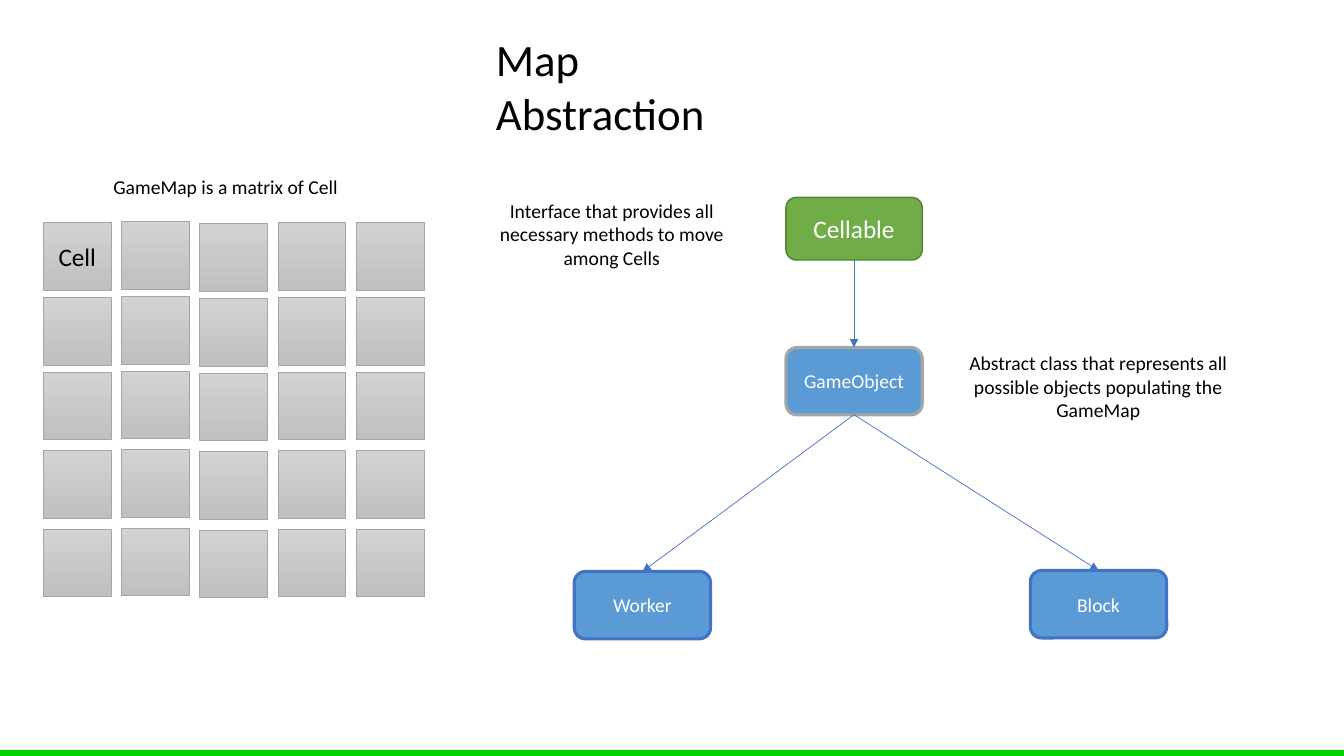
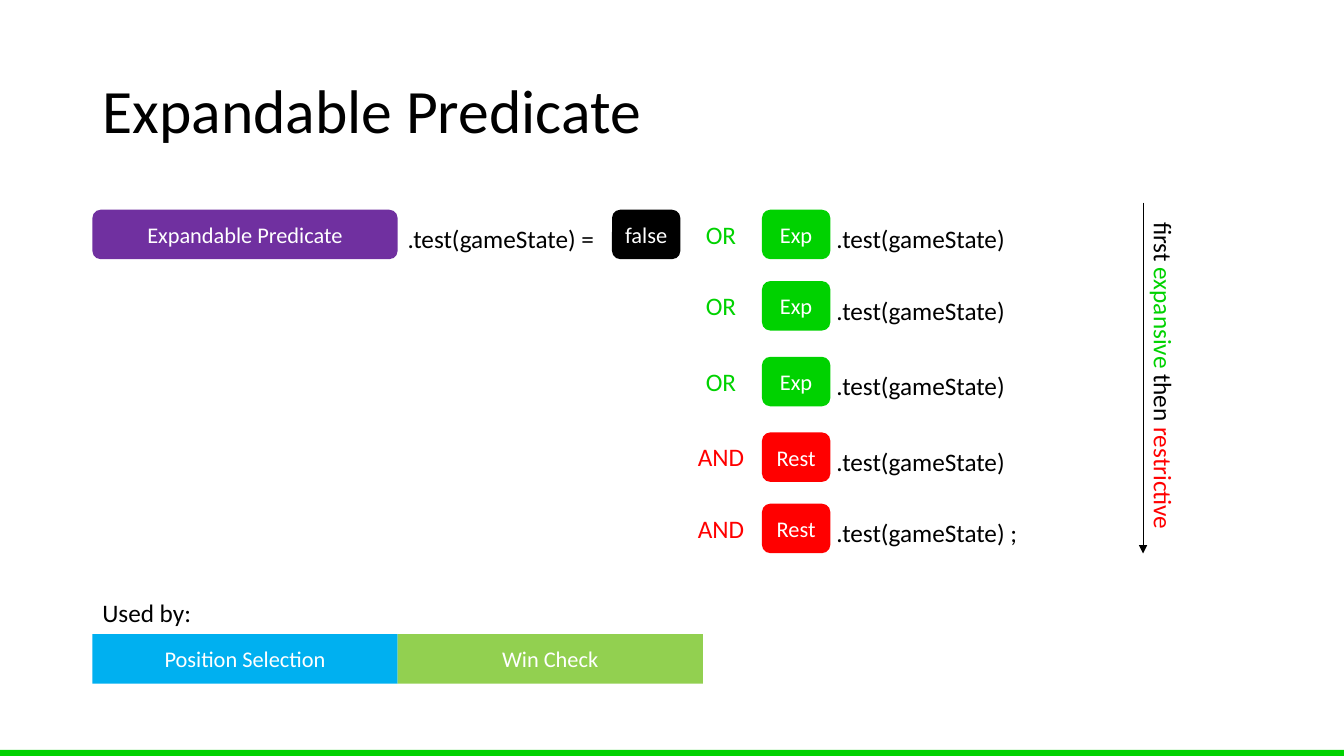
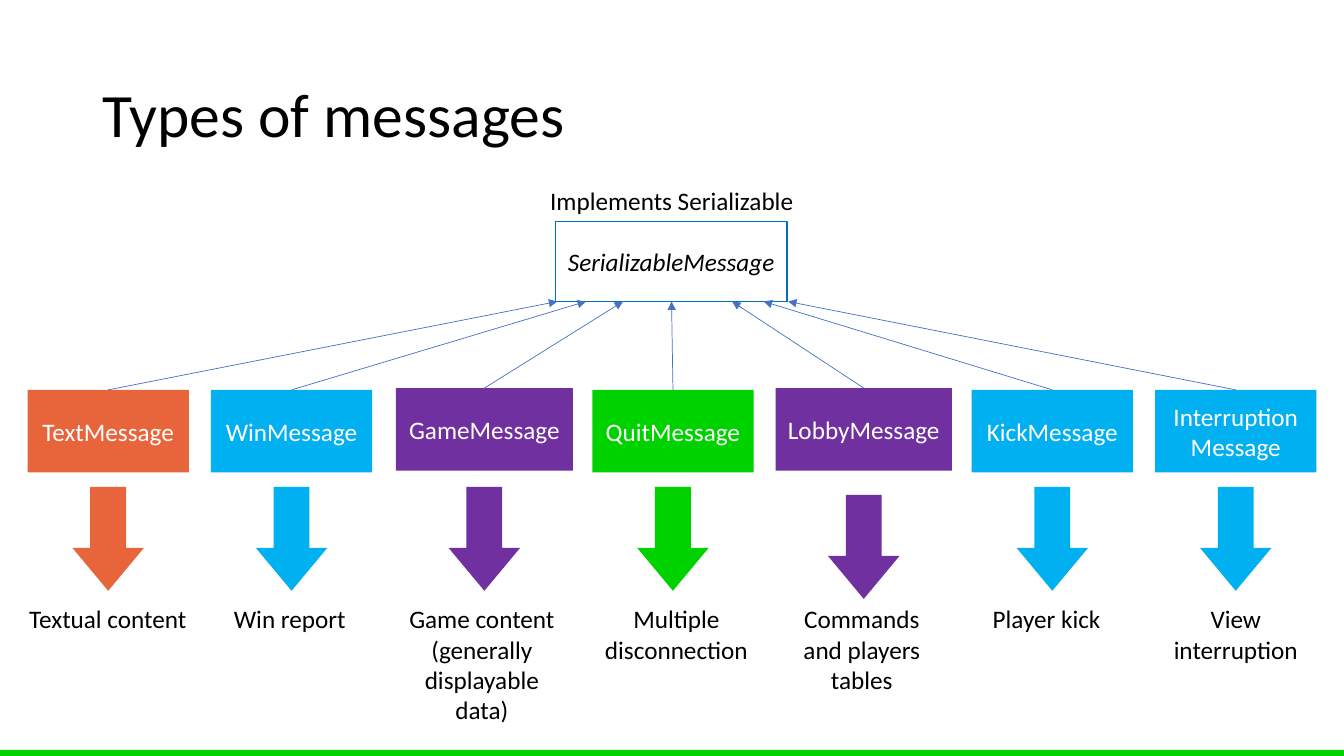
import lxml.etree
import pptx
import pptx.dml.color
import pptx.enum.shapes
import pptx.enum.text
import pptx.oxml.ns
import pptx.util

Pt = pptx.util.Pt
SHAPE = pptx.enum.shapes.MSO_SHAPE
ALIGN = pptx.enum.text.PP_ALIGN
ANCHOR = pptx.enum.text.MSO_ANCHOR

FONT = "Calibri"
COLORS = {
    "black": "000000",
    "white": "FFFFFF",
    "green": "00D200",
    "red": "FF0000",
    "purple": "7030A0",
    "cyan": "00B0F0",
    "lime": "92D050",
    "orange": "E8643B",
    "blue": "5B9BD5",
    "dark blue": "4472C4",
    "border blue": "0070C0",
    "leaf": "70AD47",
    "dark leaf": "538035",
    "border gray": "A6A6A6",
    "cell border": "A5A5A5",
    "cell top": "D2D2D2",
    "cell bottom": "C0C0C0",
}
RGB = {name: pptx.dml.color.RGBColor.from_string(value) for name, value in COLORS.items()}


def add_text(slide, text, box, form=None, fill=None, line=None, line_width=1, size=18,
             color="black", italic=False, align=ALIGN.CENTER, anchor=None, wrap=True,
             spacing=None, rotation=0):
    """Add a text box, a preset shape or the title; text is a string or (text, color) runs."""
    left, top, width, height = [Pt(value) for value in box]
    if form == "title":
        shape = slide.shapes.title
        shape.left, shape.top, shape.width, shape.height = left, top, width, height
    elif form is None:
        shape = slide.shapes.add_textbox(left, top, width, height)
    else:
        shape = slide.shapes.add_shape(form, left, top, width, height)
        shape.shadow.inherit = False
        anchor = anchor or ANCHOR.MIDDLE
        if isinstance(fill, tuple):
            shape.fill.gradient()
            shape.fill.gradient_angle = 270
            for stop, stop_color in zip(shape.fill.gradient_stops, fill):
                stop.color.rgb = RGB[stop_color]
        else:
            shape.fill.solid()
            shape.fill.fore_color.rgb = RGB[fill]
        if line:
            shape.line.color.rgb = RGB[line]
            shape.line.width = Pt(line_width)
        else:
            shape.line.fill.background()
    shape.rotation = rotation

    frame = shape.text_frame
    frame.auto_size = pptx.enum.text.MSO_AUTO_SIZE.NONE
    frame.word_wrap = wrap
    frame.vertical_anchor = anchor or ANCHOR.TOP
    paragraph = frame.paragraphs[0]
    paragraph.alignment = align
    paragraph.line_spacing = spacing
    if isinstance(text, str):
        paragraph.text = text
        run_colors = [color] * len(paragraph.runs)
    else:
        for run_text, _ in text:
            paragraph.add_run().text = run_text
        run_colors = [run_color for _, run_color in text]
    for run, run_color in zip(paragraph.runs, run_colors):
        run.font.name = FONT
        run.font.size = Pt(size)
        run.font.italic = italic
        run.font.color.rgb = RGB[run_color]
    return shape


def add_arrow(slide, start, end, color="dark blue"):
    """Add a thin line with a triangle at its end."""
    connector = slide.shapes.add_connector(
        pptx.enum.shapes.MSO_CONNECTOR.STRAIGHT, *[Pt(value) for value in start + end])
    connector.line.color.rgb = RGB[color]
    connector.line.width = Pt(0.5)
    properties = connector.element.spPr
    qualified = pptx.oxml.ns.qn
    head = lxml.etree.SubElement(properties.find(qualified("a:ln")), qualified("a:tailEnd"))
    head.set("type", "triangle")
    lxml.etree.SubElement(properties, qualified("a:effectLst"))


presentation = pptx.Presentation()
presentation.slide_width = Pt(960)
presentation.slide_height = Pt(540)

# Titles and the green band of every slide
slides = []
for title, box, size, anchor, spacing in [
    ("Map Abstraction", (347, 19.4, 170, 86), 32, ANCHOR.TOP, 1.0),
    ("Expandable Predicate", (66, 28.8, 828, 104.4), 44, ANCHOR.MIDDLE, 0.9),
    ("Types of messages", (66, 31.7, 828, 104.4), 44, ANCHOR.MIDDLE, 0.9),
]:
    slide = presentation.slides.add_slide(presentation.slide_layouts[5])
    add_text(slide, title, box, form="title", size=size, anchor=anchor,
             spacing=spacing, align=ALIGN.LEFT)
    add_text(slide, "", (0, 535.7, 960, 4.3), form=SHAPE.RECTANGLE, fill="green")
    slides.append(slide)
map_slide, predicate_slide, message_slide = slides

# Map: matrix of cells
column_shifts = [0, -0.7, 0.7, 0, 0]
row_tops = [159, 212.4, 265.8, 321.8, 377.8]
for column, shift in enumerate(column_shifts):
    for row, top in enumerate(row_tops):
        add_text(map_slide, "Cell" if row == column == 0 else "",
                 (31 + 55.85 * column, top + shift, 48.4, 48.4), form=SHAPE.RECTANGLE,
                 fill=("cell top", "cell bottom"), line="cell border", line_width=0.5)

# Map: class boxes
for name, left, top, height, fill, line, line_width, size in [
    ("Cellable", 561.4, 141, 44.8, "leaf", "dark leaf", 1, 18),
    ("GameObject", 561.4, 248.2, 48.2, "blue", "border gray", 2.25, 14),
    ("Worker", 410.2, 408.2, 48.2, "blue", "dark blue", 2.25, 14),
    ("Block", 736, 407.5, 48.2, "blue", "dark blue", 2.25, 14),
]:
    add_text(map_slide, name, (left, top, 97.4, height), form=SHAPE.ROUNDED_RECTANGLE,
             fill=fill, line=line, line_width=line_width, size=size, color="white")

# Map: explanations and inheritance arrows
for text, box in [
    ("GameMap is a matrix of Cell", (73, 121.7, 176.4, 24.5)),
    ("Interface that provides all necessary methods to move among Cells",
     (338.4, 138.2, 197.3, 58.3)),
    ("Abstract class that represents all possible objects populating the GameMap",
     (675.4, 247.3, 218.2, 58.3)),
]:
    add_text(map_slide, text, box, size=14)
for start, end in [
    ((610, 186), (610, 248.2)),
    ((610, 296.2), (459, 408.2)),
    ((610, 296.2), (784.7, 407.5)),
]:
    add_arrow(map_slide, start, end)

# Predicate: start of the expression
for text, left, width, fill in [
    ("Expandable Predicate", 66, 218, "purple"),
    ("false", 437.2, 48.8, "black"),
]:
    add_text(predicate_slide, text, (left, 149.8, width, 35.3),
             form=SHAPE.ROUNDED_RECTANGLE, fill=fill, size=16, color="white")
add_text(predicate_slide, ".test(gameState) =", (284, 156.2, 153.2, 29), align=ALIGN.LEFT)

# Predicate: one row for each operator
for operator, name, color, top, ending in [
    ("OR", "Exp", "green", 149.8, ""),
    ("OR", "Exp", "green", 200.8, ""),
    ("OR", "Exp", "green", 254.9, ""),
    ("AND", "Rest", "red", 308.9, ""),
    ("AND", "Rest", "red", 359.8, " ;"),
]:
    add_text(predicate_slide, operator, (491, top + 3, 48, 29), color=color, wrap=False)
    add_text(predicate_slide, name, (544.3, top, 48.8, 35.3),
             form=SHAPE.ROUNDED_RECTANGLE, fill=color, size=16, color="white")
    add_text(predicate_slide, ".test(gameState)" + ending, (590.4, top + 6.3, 145, 29),
             align=ALIGN.LEFT)

# Predicate: users and reading order
add_text(predicate_slide, "Used by:", (66, 423.4, 82, 29), align=ALIGN.LEFT)
for column, (text, fill) in enumerate([("Position Selection", "cyan"), ("Win Check", "lime")]):
    add_text(predicate_slide, text, (66 + 218 * column, 453, 218, 35.3),
             form=SHAPE.RECTANGLE, fill=fill, size=16, color="white")
add_arrow(predicate_slide, (816.5, 144.7), (816.5, 395.3), color="black")
add_text(predicate_slide,
         [("first ", "black"), ("expansive", "green"), (" then ", "black"), ("restrictive", "red")],
         (710.6, 257.8, 241.2, 29), align=ALIGN.LEFT, rotation=90)

# Messages: base class
add_text(message_slide, "Implements Serializable", (385.9, 128.9, 190, 29), align=ALIGN.LEFT)
add_text(message_slide, "SerializableMessage", (396.7, 158.4, 165.6, 57),
         form=SHAPE.RECTANGLE, fill="white", line="border blue", italic=True)

# Messages: box, link to the base class, block arrow and description of each type
for name, color, center, top, width, link_x, arrow_top, text, text_center, text_width in [
    ("TextMessage", "orange", 77.3, 278.5, 115.2, 398, 347.8, "Textual content", 77, 128),
    ("WinMessage", "cyan", 208.3, 278.5, 115.2, 418.5, 347.8, "Win report", 207, 95),
    ("GameMessage", "purple", 346, 277.2, 126.4, 445, 347.8,
     "Game content (generally displayable data)", 344.2, 136),
    ("QuitMessage", "green", 480.7, 278.5, 115.2, 479.7, 347.8,
     "Multiple disconnection", 483.2, 129.6),
    ("LobbyMessage", "purple", 617, 277.2, 126, 523, 353.6,
     "Commands and players tables", 615.6, 124),
    ("KickMessage", "cyan", 751.7, 278.5, 115.2, 545.5, 347.8, "Player kick", 747.6, 129.6),
    ("Interruption\vMessage", "cyan", 882.7, 278.5, 115.2, 563, 347.8,
     "View interruption", 882.7, 129.6),
]:
    add_text(message_slide, name, (center - width / 2, top, width, 59),
             form=SHAPE.RECTANGLE, fill=color, color="white")
    add_arrow(message_slide, (center, top), (link_x, 215.4))
    block_arrow = add_text(message_slide, "", (center - 25.6, arrow_top, 51.2, 74.2),
                           form=SHAPE.DOWN_ARROW, fill=color)
    block_arrow.adjustments[1] = 0.6
    add_text(message_slide, text, (text_center - text_width / 2, 427.7, text_width, 29))

presentation.save("out.pptx")
